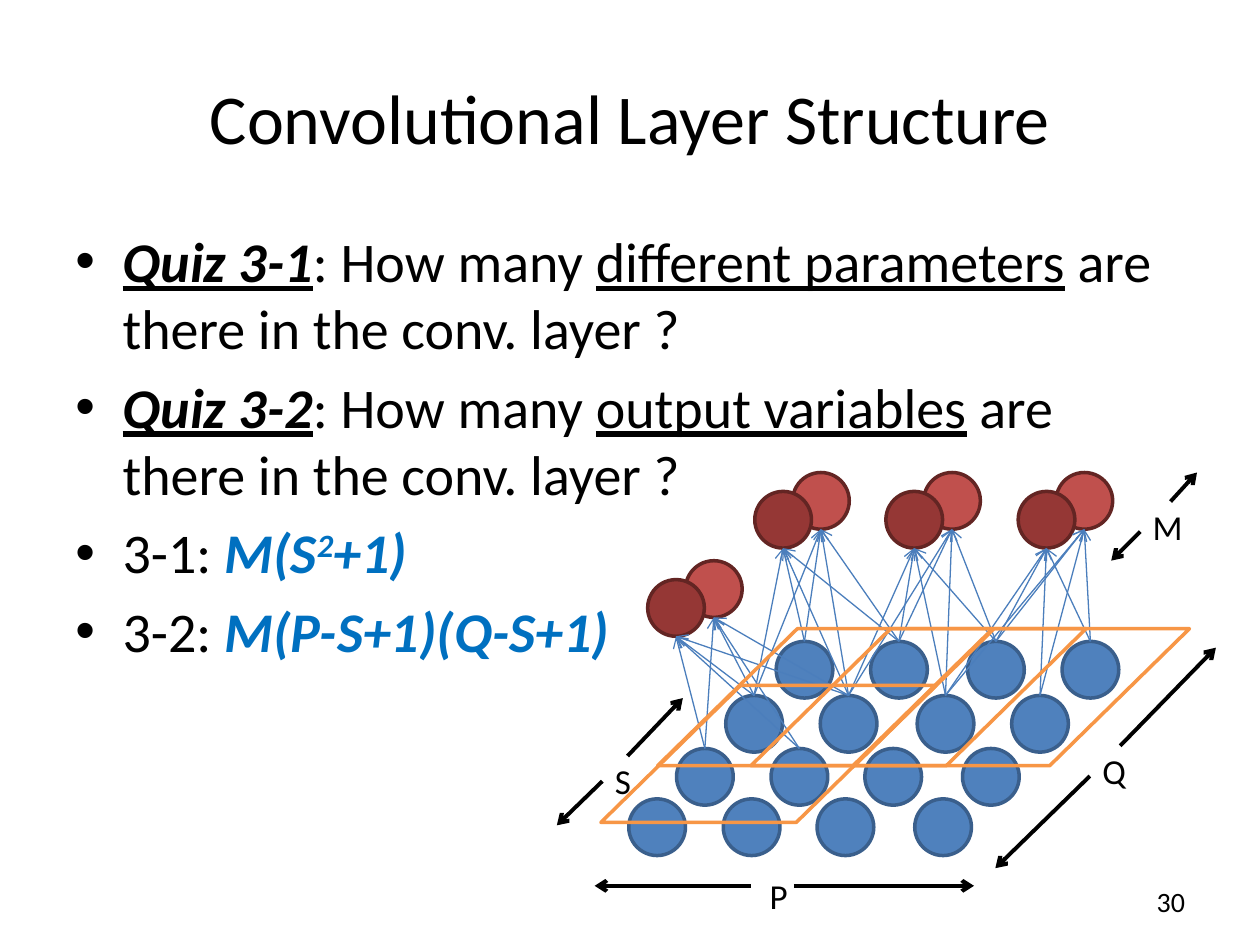
from itertools import product

from lxml.etree import SubElement
from pptx import Presentation
from pptx.dml.color import RGBColor
from pptx.enum.shapes import MSO_CONNECTOR, MSO_SHAPE
from pptx.enum.text import MSO_ANCHOR, PP_ALIGN
from pptx.oxml.ns import qn
from pptx.util import Pt

BLACK = RGBColor(0x00, 0x00, 0x00)
ANSWER_BLUE = RGBColor(0x00, 0x70, 0xC0)
INPUT_FILL = RGBColor(0x4F, 0x81, 0xBD)
INPUT_LINE = RGBColor(0x3A, 0x5F, 0x8C)
BACK_FILL = RGBColor(0xC0, 0x50, 0x4D)
FRONT_FILL = RGBColor(0x95, 0x37, 0x35)
OUTPUT_LINE = RGBColor(0x63, 0x25, 0x23)
WEIGHT_BLUE = RGBColor(0x4B, 0x7E, 0xBC)
WINDOW_ORANGE = RGBColor(0xF7, 0x96, 0x46)

DIAMETER = 32.4
HEADING = {"bold": True, "italic": True, "underline": True}
UNDERLINED = {"underline": True}
ANSWER = {"bold": True, "italic": True, "color": ANSWER_BLUE}

QUESTIONS = [
    [("Quiz 3-1", HEADING), (": How many ", {}),
     ("different parameters", UNDERLINED), (" are there in the conv. layer ?", {})],
    [("Quiz 3-2", HEADING), (": How many ", {}),
     ("output variables", UNDERLINED), (" are there in the conv. layer ?", {})],
    [("3-1: ", {}), ("M(S", ANSWER), ("2", {**ANSWER, "superscript": True}), ("+1)", ANSWER)],
    [("3-2: ", {}), ("M(P-S+1)(Q-S+1)", ANSWER)],
]

UPPER_COLUMNS = (0, 54, 109.4, 163.4)
LOWER_COLUMNS = (0, 54, 107.6, 163.4)
INPUT_ROWS = [
    (443.5, 366.5, UPPER_COLUMNS),
    (414.7, 397.4, UPPER_COLUMNS),
    (386.6, 427.7, LOWER_COLUMNS),
    (359.3, 456.5, LOWER_COLUMNS),
]
OUTPUTS = [
    (431.3, 280.8, 0, 0),
    (370.1, 331.2, 1, 0),
    (581.8, 280.8, 0, 2),
    (506.2, 280.8, 0, 1),
]
WINDOWS = [(343.4, 391.7), (488.2, 359.3), (429.1, 359.3), (375.8, 359.3)]
DIMENSIONS = [
    ("P", (432.7, 496.1), [((429.1, 506.2), (339.8, 506.2)), ((453.6, 506.2), (556.6, 506.2))]),
    ("Q", (622.8, 424.8), [((622.8, 443.5), (568.8, 496.1)), ((640.1, 426.2), (694.8, 370.1))]),
    ("M", (651.6, 285.1), [((651.6, 303.8), (635, 320.4)), ((668.9, 286.6), (684, 270))]),
    ("S", (344.2, 430.6), [((344.2, 446.4), (318.2, 471.6)), ((358.6, 432), (390.2, 398.9))]),
]


class SlideBuilder:
    def __init__(self, presentation):
        self.font_name = "Calibri"
        self.slide = presentation.slides.add_slide(presentation.slide_layouts[5])

    def add_run(self, paragraph, text, size, style):
        run = paragraph.add_run()
        run.text = text
        values = {"name": self.font_name, "size": Pt(size), "bold": False, "italic": False}
        values.update(style)
        run.font.color.rgb = values.pop("color", BLACK)
        if values.pop("superscript", False):
            run._r.get_or_add_rPr().set("baseline", "30000")
        for name, value in values.items():
            setattr(run.font, name, value)

    def title(self, text, left, top, width, height):
        shape = self.slide.shapes.title
        bounds = {"left": left, "top": top, "width": width, "height": height}
        for name, value in bounds.items():
            setattr(shape, name, Pt(value))
        shape.text_frame.vertical_anchor = MSO_ANCHOR.MIDDLE
        paragraph = shape.text_frame.paragraphs[0]
        paragraph.alignment = PP_ALIGN.CENTER
        self.add_run(paragraph, text, 40, {})

    def text_box(self, left, top, width, height, anchor=MSO_ANCHOR.TOP):
        shape = self.slide.shapes.add_textbox(Pt(left), Pt(top), Pt(width), Pt(height))
        shape.text_frame.word_wrap = True
        shape.text_frame.vertical_anchor = anchor
        return shape.text_frame

    def label(self, text, size, bounds, alignment=PP_ALIGN.LEFT, anchor=MSO_ANCHOR.TOP):
        paragraph = self.text_box(*bounds, anchor).paragraphs[0]
        paragraph.alignment = alignment
        self.add_run(paragraph, text, size, {})

    def bullets(self, items, size, bounds):
        text_frame = self.text_box(*bounds)
        for index, runs in enumerate(items):
            paragraph = text_frame.add_paragraph() if index else text_frame.paragraphs[0]
            properties = paragraph._p.get_or_add_pPr()
            properties.set("marL", str(Pt(27)))
            properties.set("indent", str(-Pt(27)))
            SubElement(properties, qn("a:buFont"), typeface="Arial")
            SubElement(properties, qn("a:buChar"), char="•")
            paragraph.space_before = Pt(6.4 if index else 0)
            for text, style in runs:
                self.add_run(paragraph, text, size, style)

    def outline(self, kind, left, top, width, height, line_color, fill_color=None):
        shape = self.slide.shapes.add_shape(kind, Pt(left), Pt(top), Pt(width), Pt(height))
        shape.shadow.inherit = False
        if fill_color is None:
            shape.fill.background()
        else:
            shape.fill.solid()
            shape.fill.fore_color.rgb = fill_color
        shape.line.color.rgb = line_color
        shape.line.width = Pt(2)
        return shape

    def neuron(self, left, top, fill_color, line_color):
        self.outline(MSO_SHAPE.OVAL, left, top, DIAMETER, DIAMETER, line_color, fill_color)

    def window(self, left, top):
        shape = self.outline(MSO_SHAPE.PARALLELOGRAM, left, top, 191.5, 78.3, WINDOW_ORANGE)
        shape.adjustments[0] = 1.02

    def arrow(self, start, end, color, width):
        points = [Pt(value) for value in (*start, *end)]
        connector = self.slide.shapes.add_connector(MSO_CONNECTOR.STRAIGHT, *points)
        connector.line.color.rgb = color
        connector.line.width = Pt(width)
        properties = connector._element.spPr
        SubElement(properties.find(qn("a:ln")), qn("a:tailEnd"), type="arrow")
        SubElement(properties, qn("a:effectLst"))


def draw_network(builder):
    inputs = [[(left + offset, top) for offset in columns] for left, top, columns in INPUT_ROWS]
    for row in inputs:
        for left, top in row:
            builder.neuron(left, top, INPUT_FILL, INPUT_LINE)
    radius = DIAMETER / 2
    for left, top, first_row, first_column in OUTPUTS:
        back = (left + 21.6, top - 10.8)
        front = (left, top)
        builder.neuron(*back, BACK_FILL, OUTPUT_LINE)
        builder.neuron(*front, FRONT_FILL, OUTPUT_LINE)
        for output, row, column in product((front, back), (0, 1), (0, 1)):
            source = inputs[first_row + row][first_column + column]
            start = (source[0] + radius, source[1])
            end = (output[0] + radius, output[1] + DIAMETER)
            builder.arrow(start, end, WEIGHT_BLUE, 0.75)
    for left, top in WINDOWS:
        builder.window(left, top)


def main():
    presentation = Presentation()
    presentation.slide_width = Pt(720)
    presentation.slide_height = Pt(540)
    builder = SlideBuilder(presentation)
    builder.title("Convolutional Layer Structure", 36, 21.6, 648, 90)
    builder.bullets(QUESTIONS, 32, (36, 126, 648, 414))
    draw_network(builder)
    for text, position, arrows in DIMENSIONS:
        for start, end in arrows:
            builder.arrow(start, end, BLACK, 2.25)
        builder.label(text, 20, (*position, 23, 26.6))
    builder.label("30", 16, (516.2, 500.4, 168, 28.8), PP_ALIGN.RIGHT, MSO_ANCHOR.MIDDLE)
    presentation.save("out.pptx")


if __name__ == "__main__":
    main()
